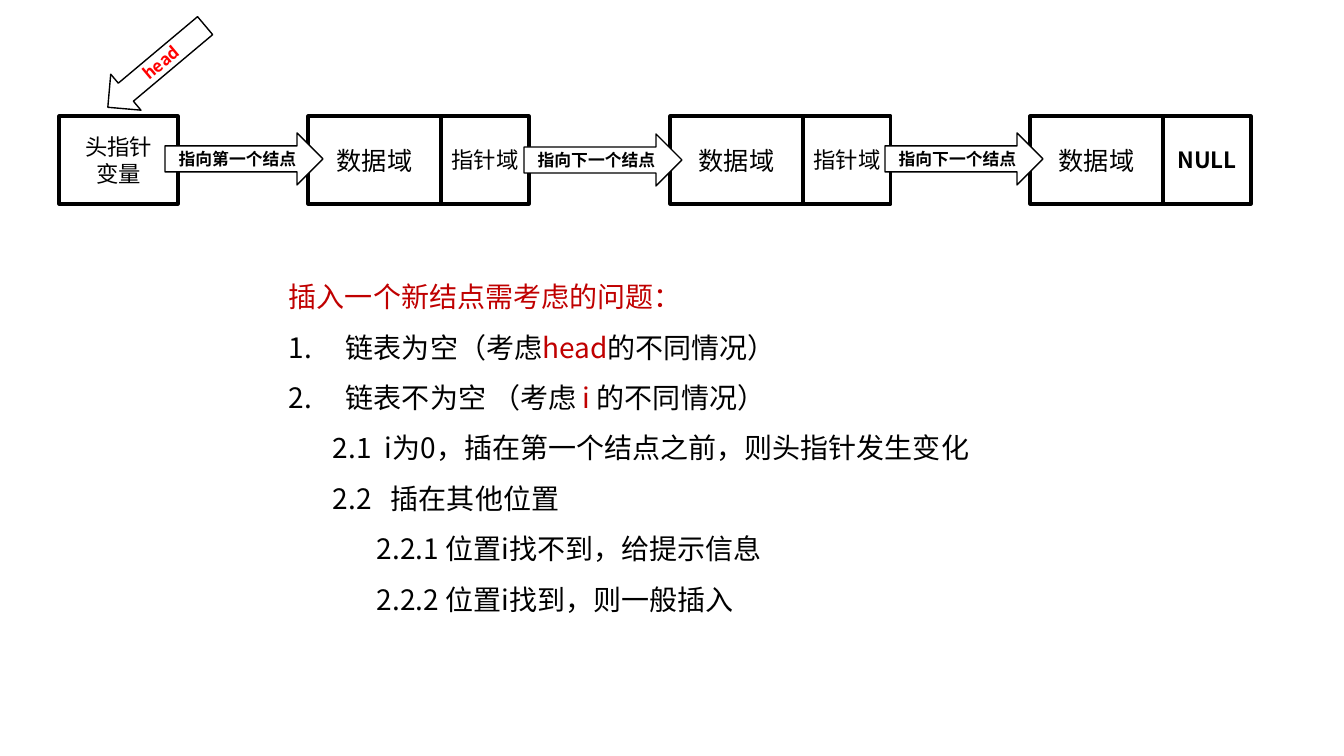
"""Build a slide on inserting a node into a singly linked list."""
from dataclasses import dataclass

import lxml.etree
import pptx
import pptx.dml.color
import pptx.enum.shapes
import pptx.enum.text
import pptx.oxml.ns
import pptx.util

PIXEL = 914400 / 100.8
FONT = "Noto Sans CJK SC"
BLACK = pptx.dml.color.RGBColor(0, 0, 0)
WHITE = pptx.dml.color.RGBColor(255, 255, 255)
RED = pptx.dml.color.RGBColor(255, 0, 0)
DARK_RED = pptx.dml.color.RGBColor(192, 0, 0)
SHAPES = pptx.enum.shapes.MSO_SHAPE
BOX_TOP, BOX_HEIGHT, DATA_WIDTH, POINTER_WIDTH = 116, 88, 133, 88
NUMBER_INDENT = 57


@dataclass(frozen=True)
class Block:
    text: str
    left: int
    top: int
    width: int
    height: int
    size: int
    kind: int = SHAPES.RECTANGLE
    line: float = 2.25
    bold: bool = False
    color: pptx.dml.color.RGBColor = BLACK
    rotation: int = 0
    direction: str = "horz"


@dataclass(frozen=True)
class Node:
    left: int
    pointer: str
    bold: bool = False


@dataclass(frozen=True)
class Link:
    text: str
    left: int
    top: int


@dataclass(frozen=True)
class Note:
    spans: tuple[tuple[str, pptx.dml.color.RGBColor], ...]
    start: int = 0
    hanging: int = 0
    numbered: bool = False


NODES = (Node(308, "指针域"), Node(670, "指针域"), Node(1030, "NULL", True))
LINKS = (Link("指向第一个结点", 165, 133), Link("指向下一个结点", 524, 134),
         Link("指向下一个结点", 885, 133))
NOTES = (
    Note((("插入一个新结点需考虑的问题：", DARK_RED),)),
    Note((("链表为空（考虑", BLACK), ("head", DARK_RED), ("的不同情况）", BLACK)),
         hanging=NUMBER_INDENT, numbered=True),
    Note((("链表不为空 （考虑 ", BLACK), ("i ", DARK_RED), ("的不同情况）", BLACK)),
         hanging=NUMBER_INDENT, numbered=True),
    Note((("2.1\ti为0，插在第一个结点之前，则头指针发生变化", BLACK),), 44, 52),
    Note((("2.2\t插在其他位置", BLACK),), 44, 58),
    Note((("2.2.1 位置i找不到，给提示信息", BLACK),), 88),
    Note((("2.2.2 位置i找到，则一般插入", BLACK),), 88),
)


def px(length: float) -> int:
    """Turn pixels into EMU."""
    return round(length * PIXEL)


def style_span(span, size: int, color: pptx.dml.color.RGBColor, bold: bool = False) -> None:
    """Format one run for Latin and Chinese text."""
    span.font.size = pptx.util.Pt(size)
    span.font.bold = bold
    span.font.color.rgb = color
    span.font.name = FONT
    east = lxml.etree.SubElement(span.font._element, pptx.oxml.ns.qn("a:ea"))
    east.set("typeface", FONT)


def draw_block(page, block: Block) -> None:
    """Draw an outlined shape with centred text."""
    shape = page.shapes.add_shape(
        block.kind, px(block.left), px(block.top), px(block.width), px(block.height))
    shape.shadow.inherit = False
    shape.rotation = block.rotation
    shape.fill.solid()
    shape.fill.fore_color.rgb = WHITE
    shape.line.color.rgb = BLACK
    shape.line.width = pptx.util.Pt(block.line)
    frame = shape.text_frame
    frame.margin_left = frame.margin_right = frame.margin_top = frame.margin_bottom = 0
    frame.vertical_anchor = pptx.enum.text.MSO_ANCHOR.MIDDLE
    frame._txBody.bodyPr.set("vert", block.direction)
    frame.text = block.text
    for para in frame.paragraphs:
        para.alignment = pptx.enum.text.PP_ALIGN.CENTER
        for span in para.runs:
            style_span(span, block.size, block.color, block.bold)


def draw_node(page, node: Node) -> None:
    """Draw a list node as a data field and a pointer field."""
    draw_block(page, Block("数据域", node.left, BOX_TOP, DATA_WIDTH, BOX_HEIGHT, 18))
    draw_block(page, Block(node.pointer, node.left + DATA_WIDTH, BOX_TOP,
                           POINTER_WIDTH, BOX_HEIGHT, 16, bold=node.bold))


def write_note(para, note: Note) -> None:
    """Fill one paragraph of the notes."""
    para.line_spacing = 1.5
    properties = para._p.get_or_add_pPr()
    properties.set("marL", str(px(note.start + note.hanging)))
    properties.set("indent", str(-px(note.hanging)))
    if note.numbered:
        number = lxml.etree.SubElement(properties, pptx.oxml.ns.qn("a:buAutoNum"))
        number.set("type", "arabicPeriod")
    for text, color in note.spans:
        span = para.add_run()
        span.text = text
        style_span(span, 20, color)


def draw_notes(page, notes: tuple[Note, ...]) -> None:
    """Draw the list of cases below the diagram."""
    box = page.shapes.add_textbox(px(279), px(258), px(857), px(363))
    frame = box.text_frame
    frame.word_wrap = True
    for index, note in enumerate(notes):
        para = frame.add_paragraph() if index else frame.paragraphs[0]
        write_note(para, note)


def main() -> None:
    """Build and save the deck."""
    deck = pptx.Presentation()
    deck.slide_width, deck.slide_height = px(1344), px(756)
    page = deck.slides.add_slide(deck.slide_layouts[6])
    draw_block(page, Block("头指针\n变量", 59, BOX_TOP, 119, BOX_HEIGHT, 16))
    for node in NODES:
        draw_node(page, node)
    for link in LINKS:
        draw_block(page, Block(link.text, link.left, link.top, 158, 52, 12,
                               SHAPES.RIGHT_ARROW, 1, True))
    draw_block(page, Block("head", 133, 3, 47, 127, 12, SHAPES.DOWN_ARROW, 1, True,
                           RED, 50, "vert270"))
    draw_notes(page, NOTES)
    deck.save("out.pptx")


main()
